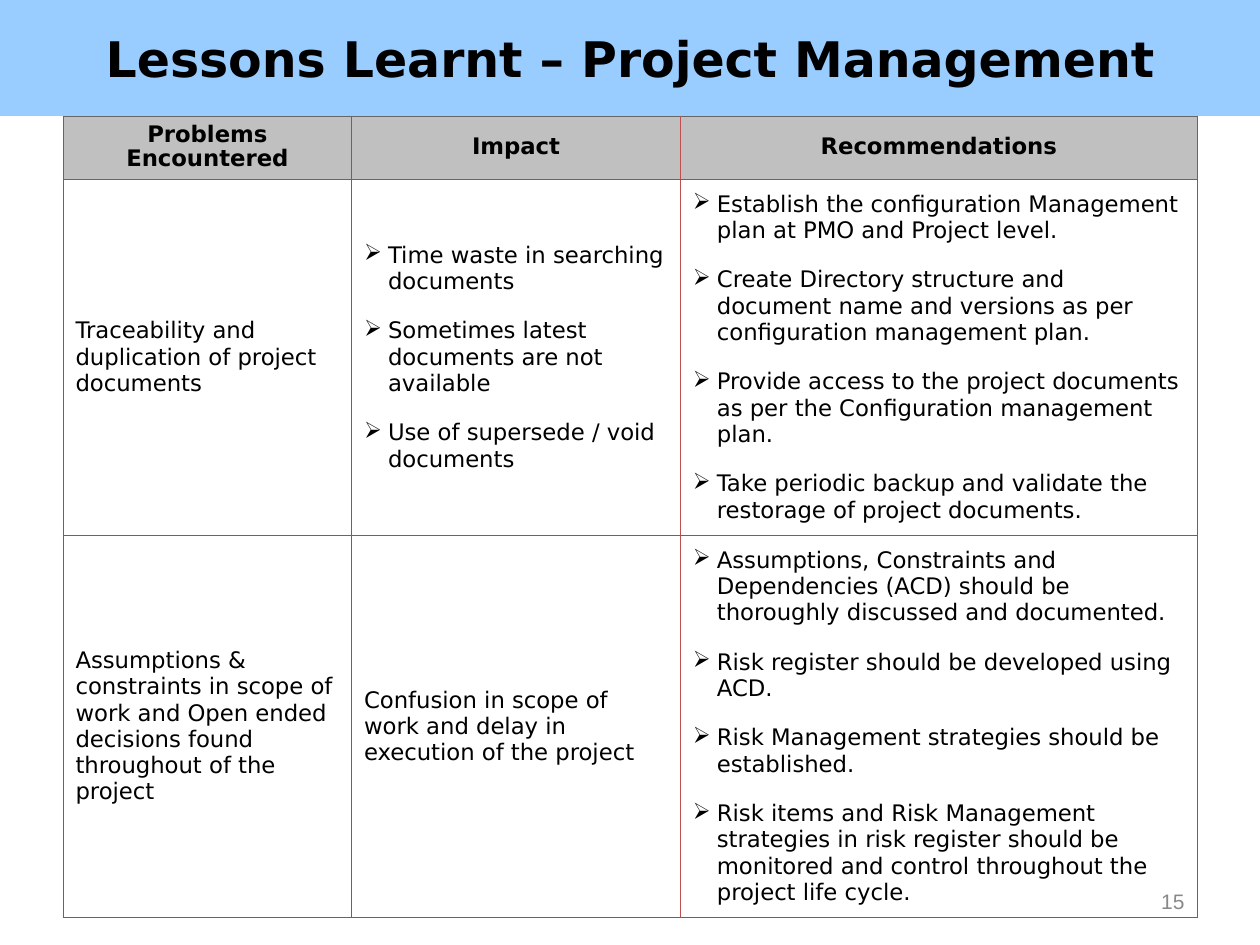
from lxml.etree import SubElement
from pptx import Presentation
from pptx.dml.color import RGBColor
from pptx.enum.shapes import MSO_SHAPE as Shape
from pptx.enum.text import MSO_ANCHOR as Anchor, PP_ALIGN as Align
from pptx.oxml import parse_xml
from pptx.oxml.ns import nsdecls, qn
from pptx.util import Inches, Pt

WIDTH, HEIGHT = Inches(10), Inches(7.5)
BLACK = RGBColor(0x00, 0x00, 0x00)
BANNER_BLUE = RGBColor(0x99, 0xCC, 0xFF)
HEADER_GREY = RGBColor(0xC0, 0xC0, 0xC0)
NUMBER_GREY = RGBColor(0x89, 0x89, 0x89)
RULE_GREY = RGBColor(0x66, 0x66, 0x66)
RULE_RED = RGBColor(0xC0, 0x50, 0x4D)

BANNER_HEIGHT = 0.92 / 7.5
COLUMN_SHARES = [0.229, 0.261, 0.41]
ROW_SHARES = [0.5 / 7.5, 2.83 / 7.5, 3.03 / 7.5]

HEADINGS = ["Problems Encountered", "Impact", "Recommendations"]
# A list is a bulleted cell, a string a plain one.
LESSONS = [
    [
        "Traceability and duplication of project documents",
        [
            "Time waste in searching documents",
            "Sometimes latest documents are not available",
            "Use of supersede / void documents",
        ],
        [
            "Establish the configuration Management plan at PMO and Project level.",
            "Create Directory structure and document name and versions as per "
            "configuration management plan.",
            "Provide access to the project documents as per the Configuration "
            "management plan.",
            "Take periodic backup and validate the restorage of project documents.",
        ],
    ],
    [
        "Assumptions & constraints in scope of work and Open ended decisions "
        "found throughout of the project",
        "Confusion in scope of work and delay in execution of the project",
        [
            "Assumptions, Constraints and Dependencies (ACD) should be thoroughly "
            "discussed and documented.",
            "Risk register should be developed using ACD.",
            "Risk Management strategies should be established.",
            "Risk items and Risk Management strategies in risk register should be "
            "monitored and control throughout the project life cycle.",
        ],
    ],
]


class LessonSlide:
    """Holds the style and the slide; places are shares of the slide's size."""

    font = "DejaVu Sans"
    title_size, body_size, number_size = 28, 13, 12
    rule_width = Pt(0.45)

    def __init__(self, deck):
        self.slide = deck.slides.add_slide(deck.slide_layouts[6])

    def box(self, left, top, width, height):
        return (int(left * WIDTH), int(top * HEIGHT),
                int(width * WIDTH), int(height * HEIGHT))

    def format_runs(self, paragraph, size, color=BLACK, bold=False, font=font):
        for run in paragraph.runs:
            run.font.name = font
            run.font.size = Pt(size)
            run.font.bold = bold
            run.font.color.rgb = color

    def banner(self, title, height):
        banner = self.slide.shapes.add_shape(
            Shape.RECTANGLE, *self.box(0, 0, 1, height))
        banner.shadow.inherit = False
        banner.fill.solid()
        banner.fill.fore_color.rgb = BANNER_BLUE
        banner.line.fill.background()
        frame = banner.text_frame
        frame.text = title
        frame.vertical_anchor = Anchor.MIDDLE
        heading = frame.paragraphs[0]
        heading.alignment = Align.CENTER
        self.format_runs(heading, self.title_size, bold=True)

    def page_number(self, number, left, top, width, height):
        frame = self.slide.shapes.add_textbox(
            *self.box(left, top, width, height)).text_frame
        frame.word_wrap = True
        frame.vertical_anchor = Anchor.MIDDLE
        frame.text = number
        frame.paragraphs[0].alignment = Align.RIGHT
        self.format_runs(frame.paragraphs[0], self.number_size, NUMBER_GREY,
                         font="Arial")

    def table(self, left, top, headings, rows):
        grid = self.slide.shapes.add_table(
            len(rows) + 1, len(headings),
            *self.box(left, top, sum(COLUMN_SHARES), sum(ROW_SHARES))).table
        grid.first_row = grid.horz_banding = False
        for column, share in zip(grid.columns, COLUMN_SHARES):
            column.width = int(share * WIDTH)
        for row, share in zip(grid.rows, ROW_SHARES):
            row.height = int(share * HEIGHT)
        for r, contents in enumerate([headings] + rows):
            for c, content in enumerate(contents):
                cell = grid.cell(r, c)
                cell.vertical_anchor = Anchor.MIDDLE
                if r == 0:
                    self.header_cell(cell, content)
                else:
                    self.body_cell(cell, content)
                self.rule(cell,
                          left=RULE_RED if c == 2 else RULE_GREY,
                          right=RULE_RED if c == 1 else RULE_GREY)

    def header_cell(self, cell, heading):
        cell.fill.solid()
        cell.fill.fore_color.rgb = HEADER_GREY
        cell.text_frame.text = heading
        paragraph = cell.text_frame.paragraphs[0]
        paragraph.alignment = Align.CENTER
        paragraph.line_spacing = 0.93
        paragraph.space_after = Pt(13.5)
        self.format_runs(paragraph, self.body_size, bold=True)

    def body_cell(self, cell, content):
        cell.fill.background()
        bulleted = isinstance(content, list)
        cell.text_frame.text = "\n".join(content) if bulleted else content
        for i, paragraph in enumerate(cell.text_frame.paragraphs):
            if bulleted:
                self.bullet(paragraph)
            if i:
                paragraph.space_before = Pt(3.3)
            paragraph.space_after = Pt(10)
            self.format_runs(paragraph, self.body_size)

    def bullet(self, paragraph):
        properties = paragraph._p.get_or_add_pPr()
        indent = Inches(0.19)
        properties.set("marL", str(indent))
        properties.set("indent", str(-indent))
        bullet_color = SubElement(properties, qn("a:buClr"))
        SubElement(bullet_color, qn("a:srgbClr"), val=str(BLACK))
        SubElement(properties, qn("a:buChar"), char="➢")

    def rule(self, cell, left, right):
        """Draw the four borders, which must stand before the cell's fill."""
        sides = {"lnL": left, "lnR": right, "lnT": RULE_GREY, "lnB": RULE_GREY}
        for place, (side, color) in enumerate(sides.items()):
            cell._tc.get_or_add_tcPr().insert(place, parse_xml(
                f'<a:{side} {nsdecls("a")} w="{self.rule_width}"><a:solidFill>'
                f'<a:srgbClr val="{color}"/></a:solidFill></a:{side}>'))


def main():
    deck = Presentation()
    deck.slide_width, deck.slide_height = WIDTH, HEIGHT
    lessons = LessonSlide(deck)
    lessons.banner("Lessons Learnt – Project Management", BANNER_HEIGHT)
    lessons.table(0.05, BANNER_HEIGHT, HEADINGS, LESSONS)
    lessons.page_number("15", 0.717, 6.95 / 7.5, 0.233, 0.4 / 7.5)
    deck.save("out.pptx")


if __name__ == "__main__":
    main()
